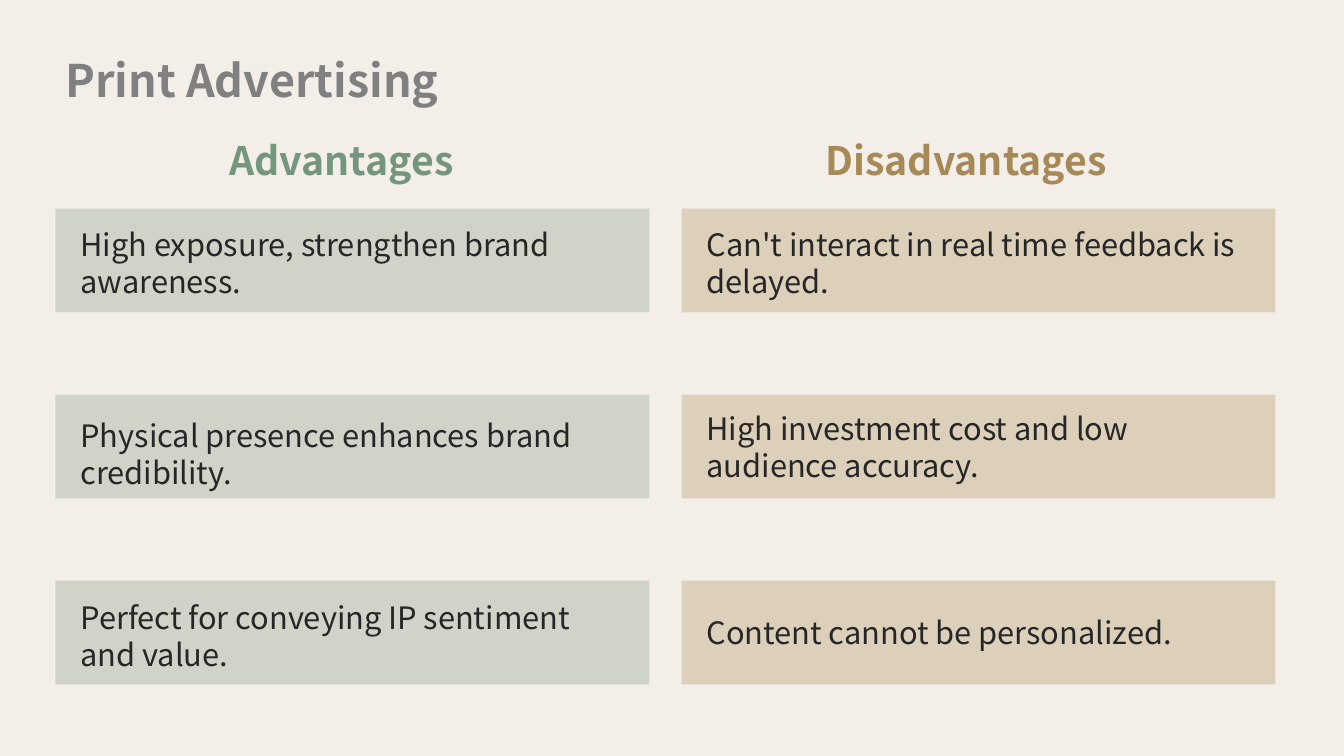
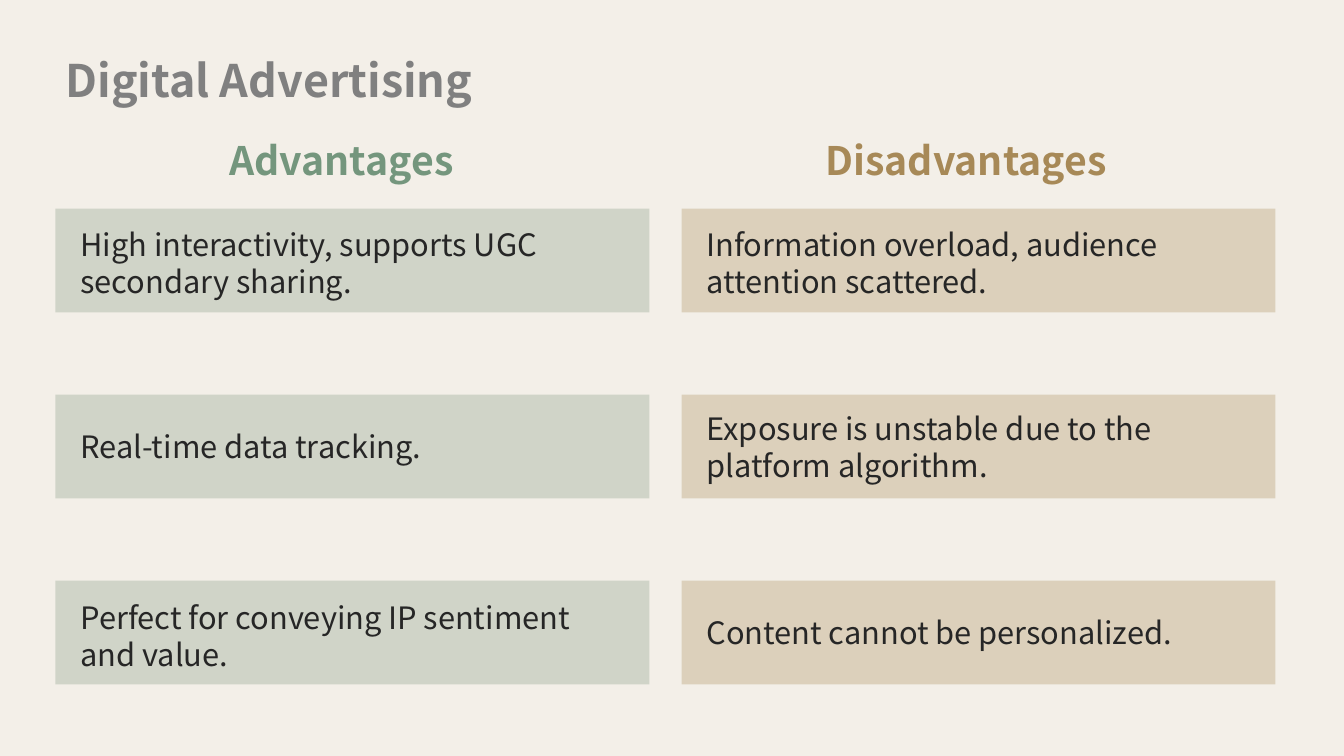
from collections import namedtuple

from pptx import Presentation
from pptx.dml.color import RGBColor
from pptx.enum.shapes import MSO_SHAPE
from pptx.enum.text import MSO_AUTO_SIZE
from pptx.util import Inches, Pt

FONT = "Noto Sans CJK SC"
CREAM = RGBColor(0xF3, 0xEF, 0xE8)
GREY = RGBColor(0x80, 0x80, 0x80)
INK = RGBColor(0x26, 0x26, 0x26)
GREEN = RGBColor(0x74, 0x96, 0x7D)
SAGE = RGBColor(0xD0, 0xD4, 0xC8)
GOLD = RGBColor(0xA7, 0x89, 0x57)
SAND = RGBColor(0xDC, 0xD0, 0xBB)

CARD_W, CARD_H = 5.89, 1.03
CARD_TOP, LAST_CARD_TOP = 2.07, 5.76
CARD_PITCH = (LAST_CARD_TOP - CARD_TOP) / 2
HEADING_TOP = 1.3
ONE_LINE, TWO_LINES = 0.47, 0.84

Column = namedtuple("Column", "heading left indent heading_w color fill")
Point = namedtuple("Point", "text drop height")

ADVANTAGES = Column("Advantages", 0.55, 1.63, 2.66, GREEN, SAGE)
DISADVANTAGES = Column("Disadvantages", 6.76, 1.33, 3.24, GOLD, SAND)

SENTIMENT = Point("Perfect for conveying IP sentiment and value.", 0.13, TWO_LINES)
IMPERSONAL = Point("Content cannot be personalized.", 0.28, ONE_LINE)

SLIDES = [
    (
        "Print Advertising",
        [
            Point("High exposure, strengthen brand awareness.", 0.12, TWO_LINES),
            Point("Physical presence enhances brand credibility.", 0.17, TWO_LINES),
            SENTIMENT,
        ],
        [
            Point("Can't interact in real time feedback is delayed.", 0.12, TWO_LINES),
            Point("High investment cost and low audience accuracy.", 0.1, TWO_LINES),
            IMPERSONAL,
        ],
    ),
    (
        "Digital Advertising",
        [
            Point("High interactivity, supports UGC secondary sharing.", 0.12, TWO_LINES),
            Point("Real-time data tracking.", 0.28, ONE_LINE),
            SENTIMENT,
        ],
        [
            Point("Information overload, audience attention scattered.", 0.12, TWO_LINES),
            Point("Exposure is unstable due to the platform algorithm.", 0.1, TWO_LINES),
            IMPERSONAL,
        ],
    ),
]


def add_text(s, left, top, width, height, text, size, color, bold=False):
    sp = s.shapes.add_textbox(Inches(left), Inches(top), Inches(width), Inches(height))
    tf = sp.text_frame
    tf.word_wrap = True
    tf.auto_size = MSO_AUTO_SIZE.SHAPE_TO_FIT_TEXT
    r = tf.paragraphs[0].add_run()
    r.text = text
    r.font.name = FONT
    r.font.size = Pt(size)
    r.font.bold = bold
    r.font.color.rgb = color


def add_card(s, left, top, point, fill):
    sp = s.shapes.add_shape(
        MSO_SHAPE.RECTANGLE, Inches(left), Inches(top), Inches(CARD_W), Inches(CARD_H)
    )
    sp.shadow.inherit = False
    sp.fill.solid()
    sp.fill.fore_color.rgb = fill
    sp.line.fill.background()
    add_text(s, left + 0.15, top + point.drop, 5.62, point.height, point.text, 22, INK)


def add_column(s, column, points):
    add_text(s, column.left + column.indent, HEADING_TOP, column.heading_w, 0.57,
             column.heading, 28, column.color, bold=True)
    for row, point in enumerate(points):
        add_card(s, column.left, CARD_TOP + row * CARD_PITCH, point, column.fill)


def add_comparison_slide(prs, title, advantages, disadvantages):
    s = prs.slides.add_slide(prs.slide_layouts[6])
    add_text(s, 0.55, 0.47, 12.39, 0.64, title, 32, GREY, bold=True)
    add_column(s, ADVANTAGES, advantages)
    add_column(s, DISADVANTAGES, disadvantages)


def main():
    prs = Presentation()
    prs.slide_width = Inches(13.33)
    prs.slide_height = Inches(7.5)
    background = prs.slide_master.background.fill
    background.solid()
    background.fore_color.rgb = CREAM
    for title, advantages, disadvantages in SLIDES:
        add_comparison_slide(prs, title, advantages, disadvantages)
    prs.save("out.pptx")


if __name__ == "__main__":
    main()
